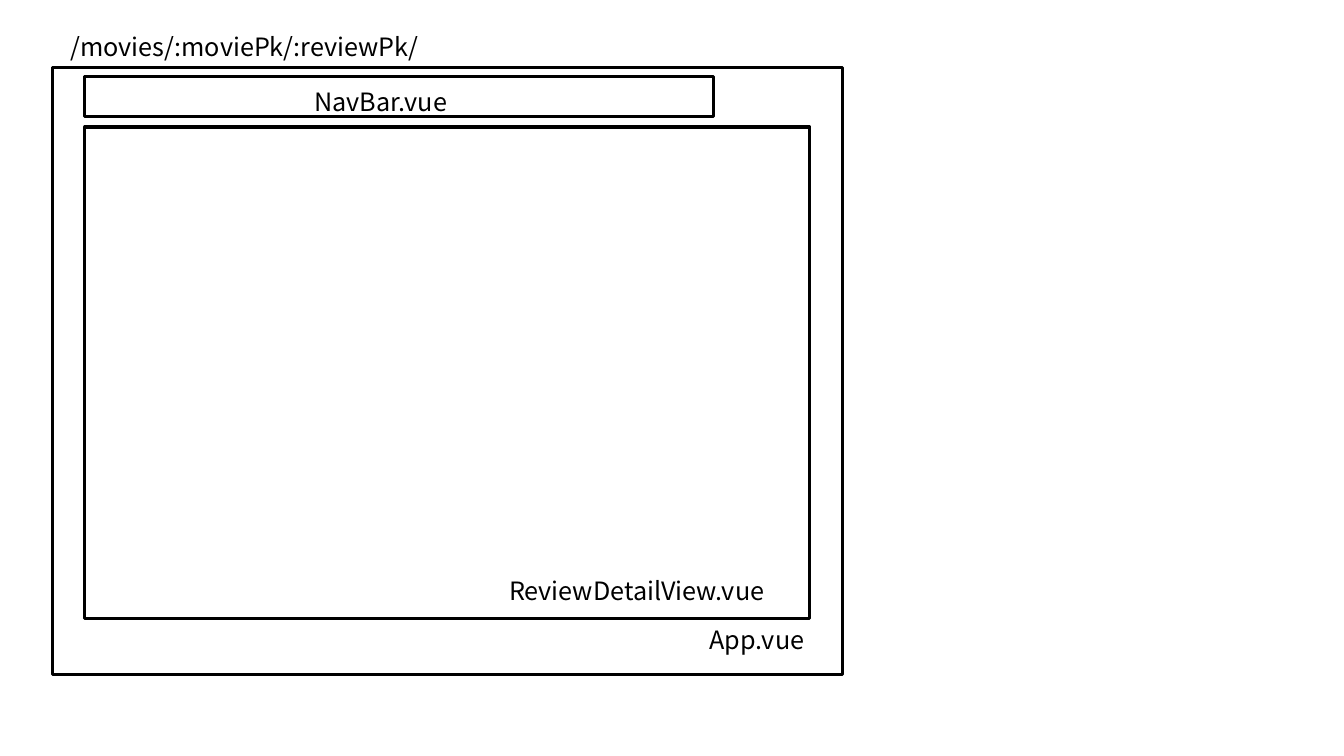
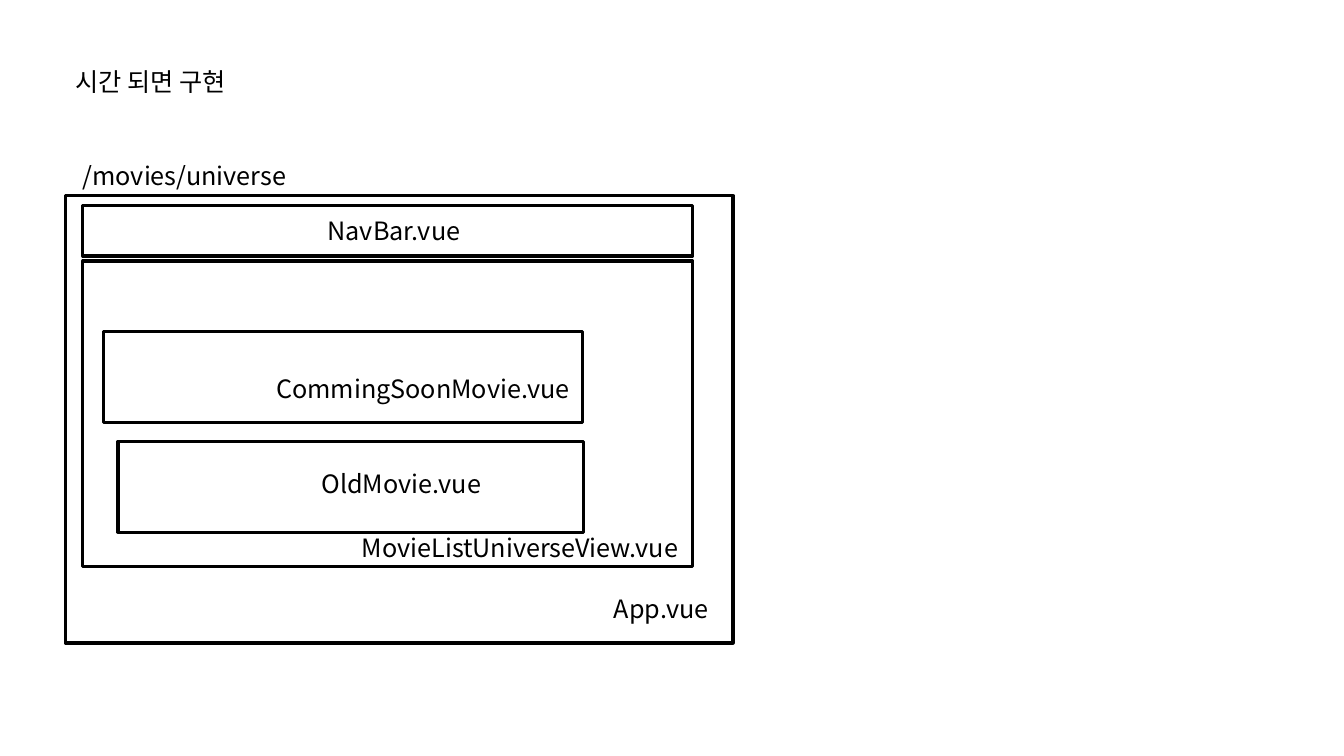
"""Builds two wireframe slides that show how Vue components nest on each route."""
from lxml.etree import SubElement
from pptx import Presentation
from pptx.dml.color import RGBColor
from pptx.enum.shapes import MSO_SHAPE as Shape
from pptx.oxml.ns import qn
from pptx.util import Inches, Pt

COLORS = {"ink": "000000", "paper": "FFFFFF"}
FONT = "Noto Sans CJK KR"
LABEL_HEIGHT = 0.4


def add_frame(page, left, top, width, height):
    frame = page.shapes.add_shape(
        Shape.RECTANGLE, Inches(left), Inches(top), Inches(width), Inches(height))
    frame.shadow.inherit = False
    frame.fill.background()
    frame.line.color.rgb = RGBColor.from_string(COLORS["ink"])
    frame.line.width = Pt(2.25)


def add_label(page, text, left, top, width):
    box = page.shapes.add_textbox(
        Inches(left), Inches(top), Inches(width), Inches(LABEL_HEIGHT))
    box.text_frame.word_wrap = True
    box.text_frame.text = text
    span = box.text_frame.paragraphs[0].runs[0]
    span.font.size = Pt(18)
    span.font.name = FONT
    span.font.color.rgb = RGBColor.from_string(COLORS["ink"])
    SubElement(span.font._element, qn("a:ea")).set("typeface", FONT)


wireframes = [
    {
        "frames": [
            (0.52, 0.67, 7.84, 6.02),
            (0.84, 0.76, 6.24, 0.4),
            (0.84, 1.26, 7.19, 4.88),
        ],
        "labels": [
            ("/movies/:moviePk/:reviewPk/", 0.6, 0.26, 3.79),
            ("NavBar.vue", 3.02, 0.81, 1.93),
            ("ReviewDetailView.vue", 4.95, 5.66, 3.02),
            ("App.vue", 6.94, 6.14, 2.21),
        ],
    },
    {
        "frames": [
            (0.65, 1.94, 6.62, 4.44),
            (0.82, 2.04, 6.05, 0.5),
            (0.82, 2.59, 6.05, 3.03),
            (1.03, 3.29, 4.75, 0.9),
            (1.17, 4.38, 4.62, 0.9),
        ],
        "labels": [
            ("시간 되면 구현", 0.65, 0.61, 1.9),
            ("/movies/universe", 0.72, 1.54, 2.5),
            ("NavBar.vue", 3.15, 2.09, 1.95),
            ("CommingSoonMovie.vue", 2.64, 3.65, 3.14),
            ("OldMovie.vue", 3.09, 4.6, 2.31),
            ("MovieListUniverseView.vue", 3.49, 5.23, 4.1),
            ("App.vue", 5.99, 5.84, 1.86),
        ],
    },
]

deck = Presentation()
deck.slide_width = Inches(13.33)
deck.slide_height = Inches(7.5)
background = deck.slide_master.background.fill
background.solid()
background.fore_color.rgb = RGBColor.from_string(COLORS["paper"])

for wireframe in wireframes:
    page = deck.slides.add_slide(deck.slide_layouts[6])
    for bounds in wireframe["frames"]:
        add_frame(page, *bounds)
    for label in wireframe["labels"]:
        add_label(page, *label)

deck.save("out.pptx")
